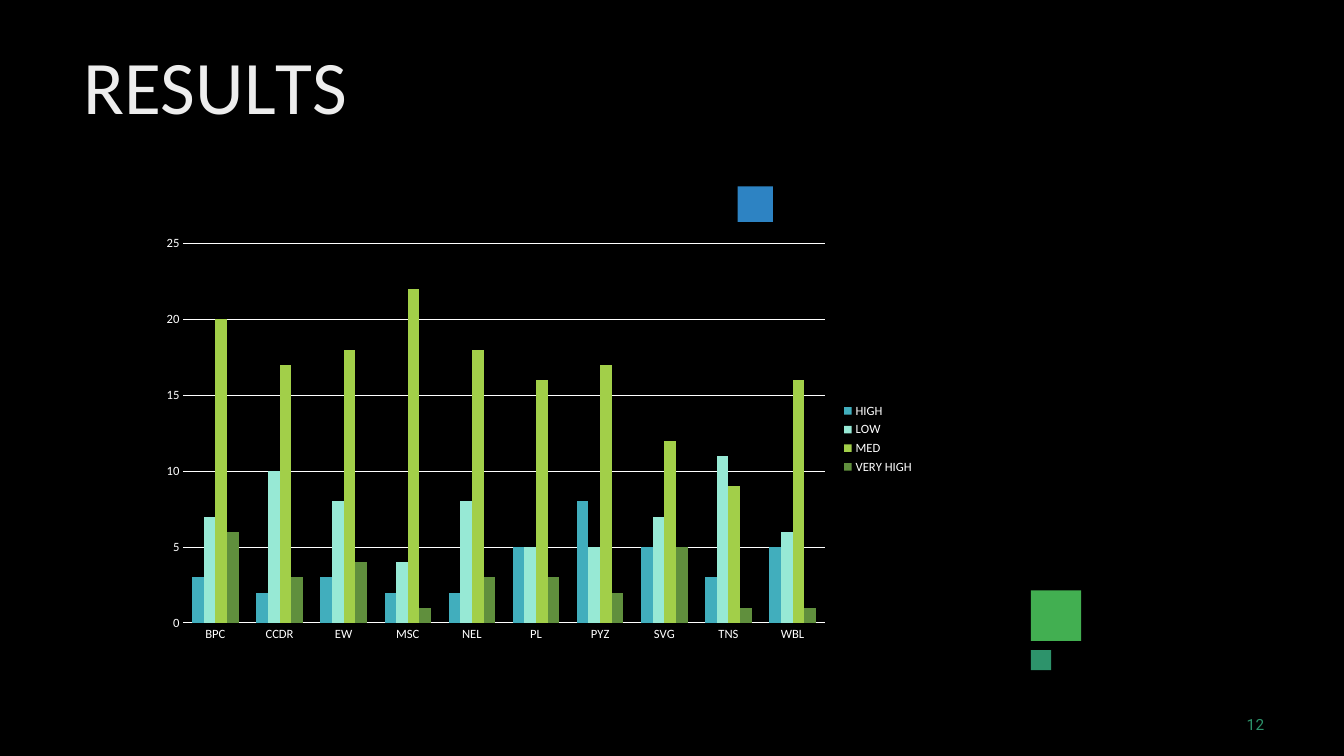
from pptx import Presentation
from pptx.chart.data import CategoryChartData
from pptx.dml.color import RGBColor
from pptx.enum.chart import XL_CHART_TYPE, XL_LEGEND_POSITION, XL_TICK_MARK
from pptx.enum.shapes import MSO_SHAPE
from pptx.enum.text import MSO_ANCHOR, PP_ALIGN
from pptx.util import Cm, Pt

COLUMN = XL_CHART_TYPE.COLUMN_CLUSTERED
LEGEND_RIGHT = XL_LEGEND_POSITION.RIGHT
NO_TICK = XL_TICK_MARK.NONE
RECTANGLE = MSO_SHAPE.RECTANGLE
MIDDLE = MSO_ANCHOR.MIDDLE
TOP = MSO_ANCHOR.TOP
LEFT = PP_ALIGN.LEFT

BLACK = RGBColor(0x00, 0x00, 0x00)
WHITE = RGBColor(0xFF, 0xFF, 0xFF)
PALE = RGBColor(0xED, 0xED, 0xED)
GREEN = RGBColor(0x42, 0xAF, 0x51)
BLUE = RGBColor(0x2D, 0x83, 0xC3)
TEAL = RGBColor(0x2D, 0x93, 0x6B)
AQUA = RGBColor(0x41, 0xAE, 0xBD)
MINT = RGBColor(0x97, 0xE9, 0xD5)
LIME = RGBColor(0xA2, 0xCF, 0x49)
OLIVE = RGBColor(0x60, 0x8F, 0x3D)

SITES = ["BPC", "CCDR", "EW", "MSC", "NEL", "PL", "PYZ", "SVG", "TNS", "WBL"]
RATINGS = [
    ("HIGH", AQUA, [3, 2, 3, 2, 2, 5, 8, 5, 3, 5]),
    ("LOW", MINT, [7, 10, 8, 4, 8, 5, 5, 7, 11, 6]),
    ("MED", LIME, [20, 17, 18, 22, 18, 16, 17, 12, 9, 16]),
    ("VERY HIGH", OLIVE, [6, 3, 4, 1, 3, 3, 2, 5, 1, 1]),
]


def style_font(font, name, size, color):
    font.name = name
    font.size = Pt(size)
    font.bold = False
    font.color.rgb = color


def set_frame(tf, anchor):
    tf.margin_left = tf.margin_right = tf.margin_bottom = 0
    tf.margin_top = Cm(0.03)
    tf.vertical_anchor = anchor
    tf.word_wrap = False


def add_square(slide, left, top, side, color):
    sp = slide.shapes.add_shape(RECTANGLE, left, top, side, side)
    sp.shadow.inherit = False
    sp.fill.solid()
    sp.fill.fore_color.rgb = color
    sp.line.fill.background()


def add_title(slide, left, top, width, height):
    title = slide.shapes.title
    title.left, title.top, title.width, title.height = left, top, width, height
    tf = title.text_frame
    set_frame(tf, MIDDLE)
    p = tf.paragraphs[0]
    p.alignment = LEFT
    p.space_before = Pt(1.1)
    for text, spacing in [("RESU", 0), ("L", -400), ("TS", 0)]:
        r = p.add_run()
        r.text = text
        style_font(r.font, "Calibri", 54, PALE)
        r.font._element.set("spc", str(spacing))


def add_page_number(slide, left, top, width, height):
    tf = slide.shapes.add_textbox(left, top, width, height).text_frame
    set_frame(tf, TOP)
    p = tf.paragraphs[0]
    p.text = "12"
    p.space_before = Pt(0.6)
    style_font(p.runs[0].font, "Roboto", 11, TEAL)
    p.runs[0].font._element.set("spc", "10")
    tf.margin_left = Cm(0.1)


def add_results_chart(slide, left, top, width, height):
    data = CategoryChartData()
    data.categories = SITES
    for name, _, values in RATINGS:
        data.add_series(name, values)
    chart = slide.shapes.add_chart(COLUMN, left, top, width, height, data).chart
    chart.has_title = False
    style_font(chart.font, "Calibri", 10, WHITE)

    plot = chart.plots[0]
    plot.gap_width = 150
    plot.overlap = 0
    plot.vary_by_categories = False
    for series, (_, color, _) in zip(plot.series, RATINGS):
        series.format.fill.solid()
        series.format.fill.fore_color.rgb = color

    for axis in (chart.category_axis, chart.value_axis):
        axis.major_tick_mark = NO_TICK
        axis.minor_tick_mark = NO_TICK
        axis.format.line.fill.background()
        style_font(axis.tick_labels.font, "Calibri", 9, WHITE)
    value_axis = chart.value_axis
    value_axis.minimum_scale = 0
    value_axis.maximum_scale = 25
    value_axis.major_unit = 5
    value_axis.has_major_gridlines = True
    grid = value_axis.major_gridlines.format.line
    grid.color.rgb = WHITE
    grid.width = Pt(0.75)

    chart.has_legend = True
    chart.legend.position = LEGEND_RIGHT
    chart.legend.include_in_layout = False
    style_font(chart.legend.font, "Calibri", 9, WHITE)


def build_results_slide(prs):
    slide = prs.slides.add_slide(prs.slide_layouts[5])
    slide.background.fill.solid()
    slide.background.fill.fore_color.rgb = BLACK
    add_square(slide, Cm(25.98), Cm(14.88), Cm(1.27), GREEN)
    add_square(slide, Cm(18.59), Cm(4.7), Cm(0.89), BLUE)
    add_square(slide, Cm(25.98), Cm(16.38), Cm(0.51), TEAL)
    add_title(slide, Cm(2.11), Cm(0.94), Cm(7.65), Cm(2.34))
    add_page_number(slide, Cm(31.32), Cm(17.98), Cm(0.64), Cm(0.53))
    add_results_chart(slide, Cm(3.81), Cm(5.74), Cm(19.48), Cm(10.64))


def main():
    prs = Presentation()
    prs.slide_width = Cm(33.87)
    prs.slide_height = Cm(19.05)
    build_results_slide(prs)
    prs.save("out.pptx")


if __name__ == "__main__":
    main()
